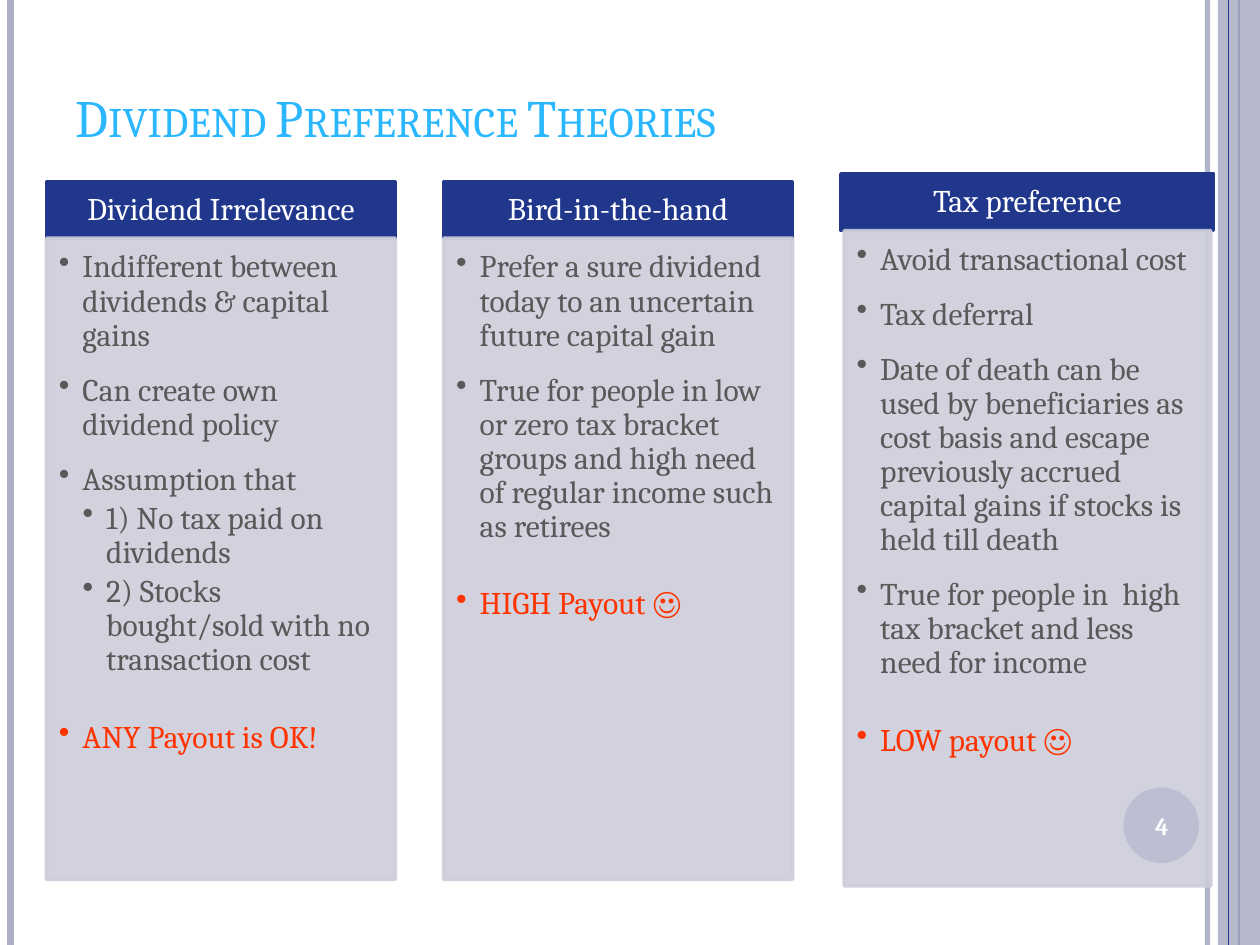
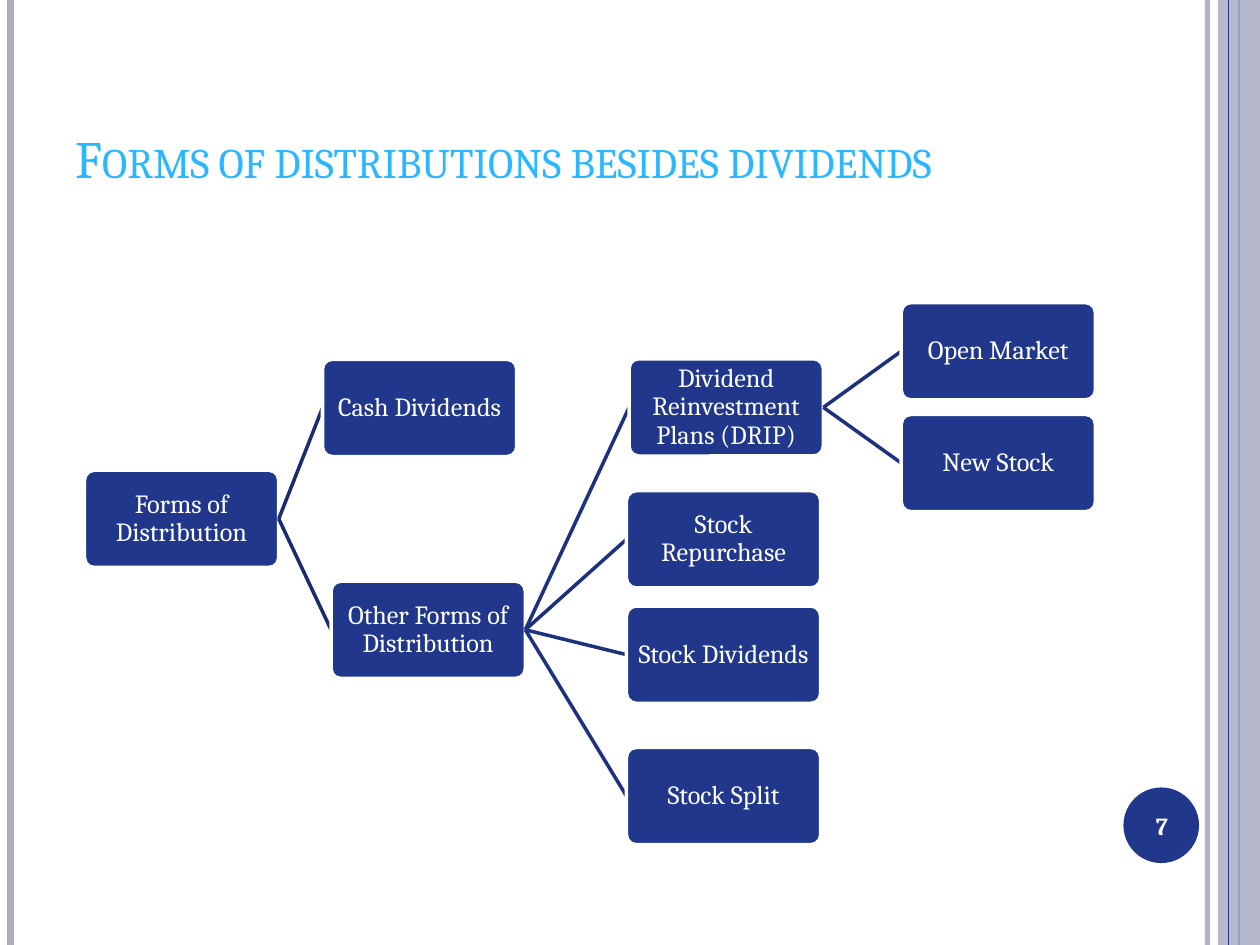
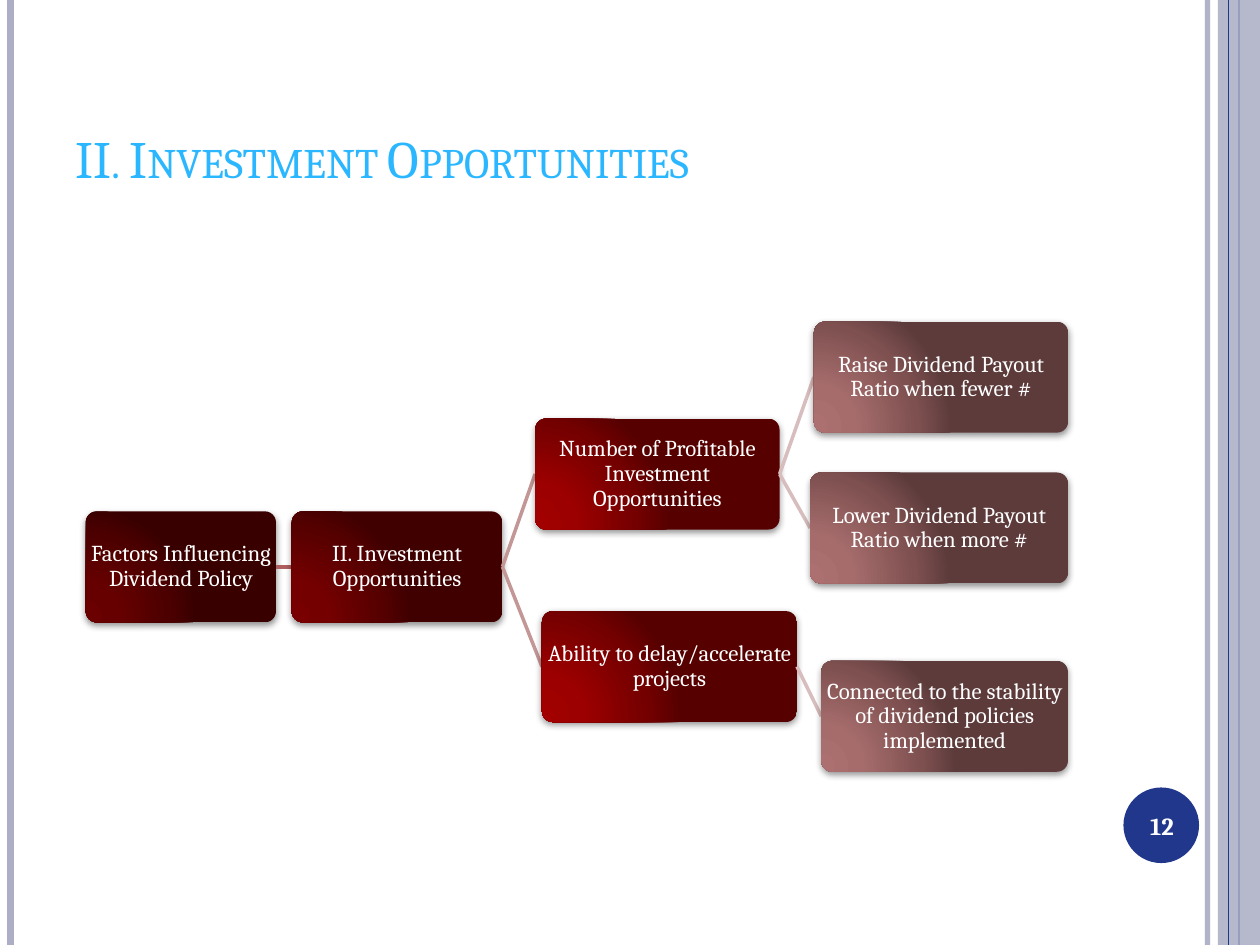
import lxml.etree
import pptx
import pptx.dml.color
import pptx.enum.shapes
import pptx.enum.text
import pptx.oxml.ns
import pptx.util

Pt = pptx.util.Pt
qn = pptx.oxml.ns.qn
SHAPE = pptx.enum.shapes.MSO_SHAPE
STRAIGHT = pptx.enum.shapes.MSO_CONNECTOR.STRAIGHT
ANCHOR = pptx.enum.text.MSO_ANCHOR
ALIGN = pptx.enum.text.PP_ALIGN
SubElement = lxml.etree.SubElement

FONT = "Cambria"
NAVY, SKY, BAND, PANEL = "20378C", "2AB7FF", "ACAEC5", "CDCEDA"
WHITE, GREY, RED = "FFFFFF", "595959", "FF3300"
INDENT = 13.5


def paint(fill, color, alpha=100):
    """Give a shape, line or font fill a solid colour; alpha is a percentage."""
    fill.solid()
    fill.fore_color.rgb = pptx.dml.color.RGBColor.from_string(color)
    if alpha < 100:
        clr = fill._xPr.find(qn("a:solidFill"))[0]
        SubElement(clr, qn("a:alpha"), val=str(alpha * 1000))


def write(tf, text, size=18, color=WHITE, bold=False, small_caps=False, align=ALIGN.CENTER,
          anchor=ANCHOR.MIDDLE, margins=(7.2, 3.6, 7.2, 3.6), spacing=0.9,
          before=0, after=0, level=0):
    """Add a paragraph; level 1 or 2 makes it a bullet."""
    tf.word_wrap = True
    tf.vertical_anchor = anchor
    tf.margin_left, tf.margin_top, tf.margin_right, tf.margin_bottom = map(Pt, margins)
    p = tf.add_paragraph() if tf.text else tf.paragraphs[0]
    p.alignment, p.line_spacing = align, spacing
    p.space_before, p.space_after = Pt(before), Pt(after)
    if level:
        pPr = p._p.get_or_add_pPr()
        pPr.set("marL", str(Pt(level * INDENT)))
        pPr.set("indent", str(-Pt(INDENT)))
        SubElement(pPr, qn("a:buChar"), char="•")
    r = p.add_run()
    r.text = text
    r.font.name, r.font.size, r.font.bold = FONT, Pt(size), bold
    paint(r.font.fill, color)
    if small_caps:
        r.font._element.set("cap", "small")


prs = pptx.Presentation()
prs.slide_width, prs.slide_height = Pt(720), Pt(540)

# Shared frame and titles
slides = []
for title, top in [("Dividend Preference Theories", -2),
                   ("Forms of distributions besides dividends", 21.6),
                   ("II. Investment Opportunities", 21.6)]:
    s = prs.slides.add_slide(prs.slide_layouts[6])
    slides.append(s)
    for x, width, color, alpha in [(690, 3, BAND, 93), (6, 4.5, BAND, 100),
                                   (708, 1.5, NAVY, 100), (702, 0.75, NAVY, 100)]:
        if x == 702:  # the thin line lies on the band, the others under it
            band = s.shapes.add_shape(SHAPE.RECTANGLE, Pt(696), 0, Pt(24), Pt(540))
            band.shadow.inherit = False
            paint(band.fill, BAND, 87)
            band.line.fill.background()
        line = s.shapes.add_connector(STRAIGHT, Pt(x), 0, Pt(x), Pt(540))
        line.line.width = Pt(width)
        paint(line.line.fill, color, alpha)
        SubElement(line._element.spPr, qn("a:effectLst"))
    disc = s.shapes.add_shape(SHAPE.OVAL, Pt(642), Pt(450), Pt(43.2), Pt(43.2))
    disc.shadow.inherit = False
    paint(disc.fill, NAVY)
    disc.line.fill.background()
    box = s.shapes.add_textbox(Pt(36), Pt(top), Pt(588), Pt(90))
    write(box.text_frame, title, size=30, color=SKY, small_caps=True,
          align=ALIGN.LEFT, anchor=ANCHOR.BOTTOM, spacing=1)

# Three theories: header (left, top, width), body (left, width, height), bullets (text, level, after)
theories = [
    ("Dividend Irrelevance", (26.6, 103.7, 199.4), (26.6, 199.4, 366.5), [
        ("Indifferent between dividends & capital gains", 1, 12),
        ("Can create own dividend policy", 1, 12),
        ("Assumption that", 1, 3),
        ("1) No tax paid on dividends", 2, 3),
        ("2) Stocks bought/sold with no transaction cost", 2, 3),
    ], "ANY Payout is OK!"),
    ("Bird-in-the-hand", (253.6, 103.7, 199.4), (253.6, 199.4, 366.5), [
        ("Prefer a sure dividend today to an uncertain future capital gain", 1, 12),
        ("True for people in low or zero tax bracket groups and high need of regular "
         "income such as retirees", 1, 3),
    ], "HIGH Payout ☺"),
    ("Tax preference", (480.6, 99.4, 213), (482.4, 209.5, 374.4), [
        ("Avoid transactional cost", 1, 12),
        ("Tax deferral", 1, 12),
        ("Date of death can be used by beneficiaries as cost basis and escape previously "
         "accrued capital gains if stocks is held till death", 1, 12),
        ("True for people in  high tax bracket and less need for income", 1, 3),
    ], "LOW payout ☺"),
]
HEADER_H = 32.4
for name, (x, top, width), (body_x, body_w, body_h), bullets, payout in theories:
    header = slides[0].shapes.add_shape(SHAPE.RECTANGLE, Pt(x), Pt(top), Pt(width), Pt(HEADER_H))
    body = slides[0].shapes.add_shape(SHAPE.RECTANGLE, Pt(body_x), Pt(top + HEADER_H),
                                      Pt(body_w), Pt(body_h))
    for sp, color, alpha in [(header, NAVY, 100), (body, PANEL, 90)]:
        sp.shadow.inherit = False
        paint(sp.fill, color, alpha)
        sp.line.width = Pt(2)
        paint(sp.line.fill, color, alpha)
    write(header.text_frame, name)
    look = dict(align=ALIGN.LEFT, anchor=ANCHOR.TOP, margins=(7.2, 7.2, 10, 11.5))
    for text, level, after in bullets:
        write(body.text_frame, text, color=GREY, level=level, after=after, **look)
    write(body.text_frame, payout, color=RED, level=1, before=22, **look)

# Trees: nodes are (text, parent index, left, top, width);
# levels are (fill or gradient stops, colour of the link from the parent)
trees = [
    (slides[1], 55.6, 15,
     [(NAVY, None), (NAVY, "1A2C70"), (NAVY, "1D327F"), (NAVY, "1D327F")],
     [("Forms of Distribution", None, 48.3, 268.7, 111),
      ("Cash Dividends", 0, 184.3, 205.3, 111),
      ("Other Forms of Distribution", 0, 189.2, 332.1, 111),
      ("Dividend Reinvestment Plans (DRIP)", 2, 359.5, 205, 111),
      ("Open Market", 3, 515, 172.9, 111),
      ("New Stock", 3, 515, 236.8, 111),
      ("Stock Repurchase", 2, 358, 280.4, 111),
      ("Stock Dividends", 2, 358, 346.3, 111),
      ("Stock Split", 2, 358, 427.1, 111)]),
    (slides[2], 63.4, 13,
     [(("6A0000", "660000", "4D0000", "390000"), None),
      (("780000", "740000", "570000", "400000"), "AE5E5E"),
      (("A20000", "9C0000", "750000", "570000"), "C49797"),
      (("AC7070", "A66C6C", "7E5050", "5D3B3B"), "D7BDBD")],
     [("Factors Influencing Dividend Policy", None, 49, 292.2, 108.7),
      ("II. Investment Opportunities", 0, 166.7, 292.2, 120.4),
      ("Number of Profitable Investment Opportunities", 1, 305.8, 239.2, 139.7),
      ("Raise Dividend Payout Ratio when fewer #", 2, 465.1, 183.8, 145.3),
      ("Lower Dividend Payout Ratio when more #", 2, 462.9, 270, 147.5),
      ("Ability to delay/accelerate projects", 1, 309.7, 349.2, 145.7),
      ("Connected to the stability of dividend policies implemented", 5, 469.3, 377.6, 141)]),
]
for s, height, size, levels, nodes in trees:
    drawn = []  # (shape, depth)
    for text, parent, x, y, width in nodes:
        depth = 0 if parent is None else drawn[parent][1] + 1
        fill, link_color = levels[depth]
        if link_color:
            link = s.shapes.add_connector(STRAIGHT, 0, 0, 0, 0)
            link.begin_connect(drawn[parent][0], 3)
            link.line.width = Pt(2)
            paint(link.line.fill, link_color)
            SubElement(link._element.spPr, qn("a:effectLst"))
        sp = s.shapes.add_shape(SHAPE.ROUNDED_RECTANGLE, Pt(x), Pt(y), Pt(width), Pt(height))
        sp.adjustments[0] = 0.1
        sp.shadow.inherit = False
        if link_color:
            link.end_connect(sp, 1)
        if isinstance(fill, str):
            paint(sp.fill, fill)
            sp.line.width = Pt(2)
            paint(sp.line.fill, WHITE)
        else:
            sp.line.fill.background()
            spPr = sp._element.spPr
            grad = lxml.etree.Element(qn("a:gradFill"), rotWithShape="1")
            stops = SubElement(grad, qn("a:gsLst"))
            for pos, color in zip((0, 30, 75, 100), fill):
                stop = SubElement(stops, qn("a:gs"), pos=str(pos * 1000))
                SubElement(stop, qn("a:srgbClr"), val=color)
            circle = SubElement(grad, qn("a:path"), path="circle")
            SubElement(circle, qn("a:fillToRect"), l="5000", t="100000", r="120000", b="10000")
            spPr.find(qn("a:prstGeom")).addnext(grad)
            shadow = SubElement(spPr.find(qn("a:effectLst")), qn("a:outerShdw"),
                                blurRad=str(Pt(4)), dist=str(Pt(1.6)), dir="5400000",
                                rotWithShape="0")
            black = SubElement(shadow, qn("a:srgbClr"), val="000000")
            SubElement(black, qn("a:alpha"), val="42000")
        write(sp.text_frame, text, size=size, margins=(0.7,) * 4)
        drawn.append((sp, depth))

# Page numbers lie above everything else
for s, number in zip(slides, ("4", "7", "12")):
    box = s.shapes.add_textbox(Pt(640), Pt(451.4), Pt(48), Pt(41))
    write(box.text_frame, number, size=14, bold=True, spacing=1)

prs.save("out.pptx")
